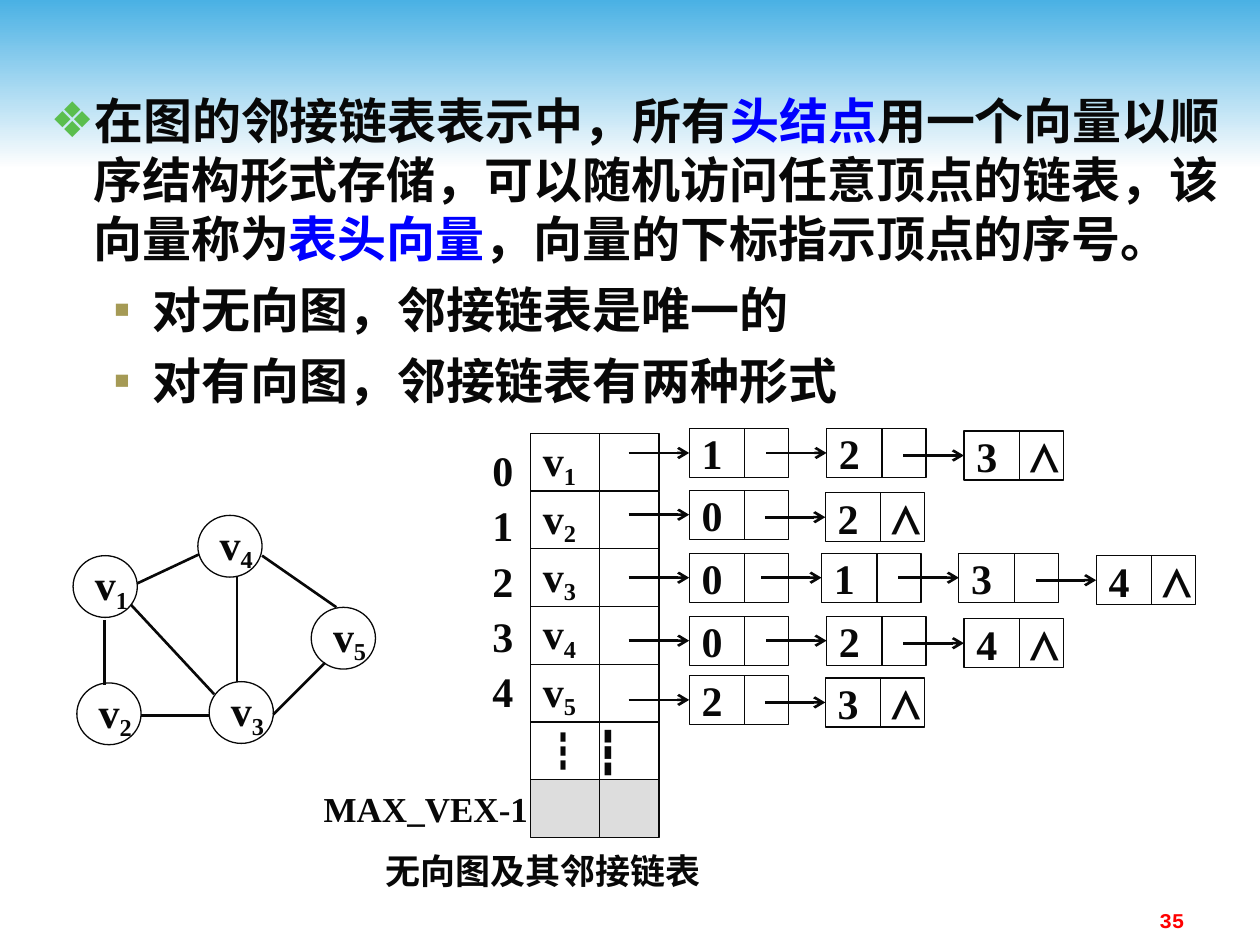
from lxml import etree
from pptx import Presentation
from pptx import util as u
from pptx.dml.color import RGBColor
from pptx.enum import shapes, text
from pptx.oxml import ns

COLORS = {
    "ink": "080808", "key": "0000FF", "sky": "4AB1E4", "white": "FEFEFE",
    "diamond": "5BBE4E", "square": "A59A55", "spare": "DDDDDD", "number": "FF0000",
}
SERIF, HAN = "Times New Roman", "Noto Sans CJK SC"
CELL_W, CELL_H, DATA_W = 0.79, 0.39, 0.44

BODY = [
    (0, [("在图的邻接链表表示中，所有", "ink"), ("头结点", "key"),
         ("用一个向量以顺序结构形式存储，可以随机访问任意顶点的链表，该向量称为", "ink"),
         ("表头向量", "key"), ("，向量的下标指示顶点的序号。", "ink")]),
    (1, [("对无向图，邻接链表是唯一的", "ink")]),
    (1, [("对有向图，邻接链表有两种形式", "ink")]),
]
BULLETS = [("❖", "diamond", 0.47, -0.34), ("▪", "square", 0.94, -0.31)]
VERTICES = {"1": (0, 0.32), "2": (0.03, 1.33), "3": (1.08, 1.32),
            "4": (0.99, 0), "5": (1.89, 0.73)}
EDGES = [(0.25, 0.83, 0.25, 1.35), (1.3, 0.49, 1.3, 1.32), (0.46, 0.71, 1.12, 1.42),
         (0.51, 0.54, 1, 0.31), (0.54, 1.59, 1.08, 1.59), (1.5, 0.32, 2.09, 0.73),
         (1.59, 1.58, 2, 1.17)]
# Top of each list, distance from its first node to its second, vertex numbers
LISTS = [(0, 1.09, "123"), (0.49, 1.08, "02"), (0.99, 1.05, "0134"),
         (1.49, 1.09, "024"), (1.96, 1.08, "23")]


def rgb(name):
    return RGBColor.from_string(COLORS[name])


def add_span(para, content, size, font=SERIF, color="ink", baseline=None):
    span = para.add_run()
    span.text = content
    for key, value in {"size": u.Pt(size), "name": font, "bold": True}.items():
        setattr(span.font, key, value)
    span.font.color.rgb = rgb(color)
    props = span.font._element
    if font == HAN:
        etree.SubElement(props, ns.qn("a:ea"), typeface=font)
    if baseline:
        props.set("baseline", str(baseline))


def format_frame(frame, **changes):
    values = {"word_wrap": False, "auto_size": text.MSO_AUTO_SIZE.NONE,
              "vertical_anchor": text.MSO_ANCHOR.MIDDLE}
    for key, value in {**values, **changes}.items():
        setattr(frame, key, value)


def add_label(page, box, lines, size, font=SERIF, color="ink", align="LEFT",
              spacing=None, **frame_format):
    frame = page.shapes.add_textbox(*map(u.Inches, box)).text_frame
    format_frame(frame, **frame_format)
    for index, line in enumerate(lines):
        para = frame.add_paragraph() if index else frame.paragraphs[0]
        para.alignment = getattr(text.PP_ALIGN, align)
        para.line_spacing = spacing
        add_span(para, line, size, font, color)


def add_outline(page, kind, box, fill=None):
    """Add an outlined shape; return it with its left-aligned paragraph."""
    shape = page.shapes.add_shape(kind, *map(u.Inches, box))
    shape.shadow.inherit = False
    if fill:
        shape.fill.solid()
        shape.fill.fore_color.rgb = rgb(fill)
    else:
        shape.fill.background()
    shape.line.color.rgb = rgb("ink")
    shape.line.width = u.Pt(0.75)
    format_frame(shape.text_frame)
    para = shape.text_frame.paragraphs[0]
    para.alignment = text.PP_ALIGN.LEFT
    return shape, para


def add_line(page, x1, y1, x2, y2, width=1.5, target=None):
    """Draw a line, or an arrow joined to the left side of target."""
    line = page.shapes.add_connector(shapes.MSO_CONNECTOR.STRAIGHT,
                                     *map(u.Inches, (x1, y1, x2, y2)))
    line.line.color.rgb = rgb("ink")
    line.line.width = u.Pt(width)
    if target is not None:
        line.end_connect(target, 1)
        etree.SubElement(line.line._get_or_add_ln(), ns.qn("a:tailEnd"), type="arrow")
    etree.SubElement(line._element.spPr, ns.qn("a:effectLst"))


def add_vertex_name(para, number):
    add_span(para, "v", 24)
    add_span(para, number, 24, baseline=-20000)


def add_header(page, box):
    band = page.shapes.add_shape(shapes.MSO_SHAPE.RECTANGLE, *map(u.Inches, box))
    band.shadow.inherit = False
    band.line.fill.background()
    band.fill.gradient()
    band.fill.gradient_angle = 270
    for stop, color in zip(band.fill.gradient_stops, ("sky", "white")):
        stop.color.rgb = rgb(color)
    page.shapes._spTree.insert(2, band._element)


def fill_body(body, box):
    for key, value in zip(("left", "top", "width", "height"), box):
        setattr(body, key, u.Inches(value))
    frame = body.text_frame
    format_frame(frame, word_wrap=True, vertical_anchor=text.MSO_ANCHOR.TOP)
    for index, (level, spans) in enumerate(BODY):
        para = frame.add_paragraph() if index else frame.paragraphs[0]
        mark, color, margin, indent = BULLETS[level]
        para.level = level
        props = para._p.get_or_add_pPr()
        props.set("marL", str(u.Inches(margin)))
        props.set("indent", str(u.Inches(indent)))
        bullet_color = etree.SubElement(props, ns.qn("a:buClr"))
        etree.SubElement(bullet_color, ns.qn("a:srgbClr"), val=COLORS[color])
        etree.SubElement(props, ns.qn("a:buChar"), char=mark)
        para.space_before = u.Pt(7 if index else 0)
        for content, span_color in spans:
            add_span(para, content, 28, "Arial", span_color)


def add_graph(page, left, top):
    for number, (x, y) in VERTICES.items():
        para = add_outline(page, shapes.MSO_SHAPE.OVAL, (left + x, top + y, 0.51, 0.49))[1]
        add_vertex_name(para, number)
    for x1, y1, x2, y2 in EDGES:
        add_line(page, left + x1, top + y1, left + x2, top + y2)


def add_head_vector(page, left, top, width, row_height):
    for row in range(7):
        y = top + row * row_height
        para = add_outline(page, shapes.MSO_SHAPE.RECTANGLE, (left, y, width, row_height),
                           "spare" if row == 6 else None)[1]
        if row < 5:
            add_vertex_name(para, str(row + 1))
        elif row == 5:
            add_span(para, "┇", 24, HAN)
            add_span(para, " ┇", 24)
        add_line(page, left + 0.55, y, left + 0.55, y + row_height, 0.75)


def add_node(page, left, top, number, is_last):
    node, para = add_outline(page, shapes.MSO_SHAPE.RECTANGLE, (left, top, CELL_W, CELL_H))
    if is_last:
        tabs = etree.SubElement(para._p.get_or_add_pPr(), ns.qn("a:tabLst"))
        etree.SubElement(tabs, ns.qn("a:tab"), pos=str(u.Inches(0.42)), algn="l")
    add_span(para, number + ("\t⋀" if is_last else ""), 24)
    add_line(page, left + DATA_W, top, left + DATA_W, top + CELL_H, 0.75)
    middle = top + CELL_H / 2
    add_line(page, left - 0.48, middle, left, middle, target=node)


def add_lists(page, left, top):
    for y, gap, numbers in LISTS:
        for index, number in enumerate(numbers):
            x = left + (gap + (index - 1) * 1.09 if index else 0)
            is_last = index == len(numbers) - 1
            add_node(page, x, top + y + (0.02 if is_last else 0), number, is_last)


def main():
    deck = Presentation()
    deck.slide_width, deck.slide_height = u.Inches(10), u.Inches(7.5)
    page = deck.slides.add_slide(deck.slide_layouts[1])
    title = page.shapes.title._element
    title.getparent().remove(title)
    add_header(page, (0, 0, 10, 1.33))
    fill_body(page.placeholders[1], (0.17, 0.67, 9.67, 3))
    add_label(page, (2.45, 6.73, 3.72, 0.35), ["无向图及其邻接链表"], 20, HAN, align="CENTER")
    add_graph(page, 0.58, 4.09)
    add_label(page, (3.81, 3.43, 0.39, 2.31), "01234", 24, spacing=1.1)
    add_label(page, (2.47, 6.22, 1.73, 0.39), ["MAX_VEX-1"], 20)
    add_head_vector(page, 4.21, 3.44, 1.02, 0.458)
    add_lists(page, 5.47, 3.4)
    add_label(page, (7.17, 7.15, 2.33, 0.27), ["35"], 12, "Courier New", "number", "RIGHT",
              word_wrap=True, vertical_anchor=text.MSO_ANCHOR.TOP)
    deck.save("out.pptx")


if __name__ == "__main__":
    main()
